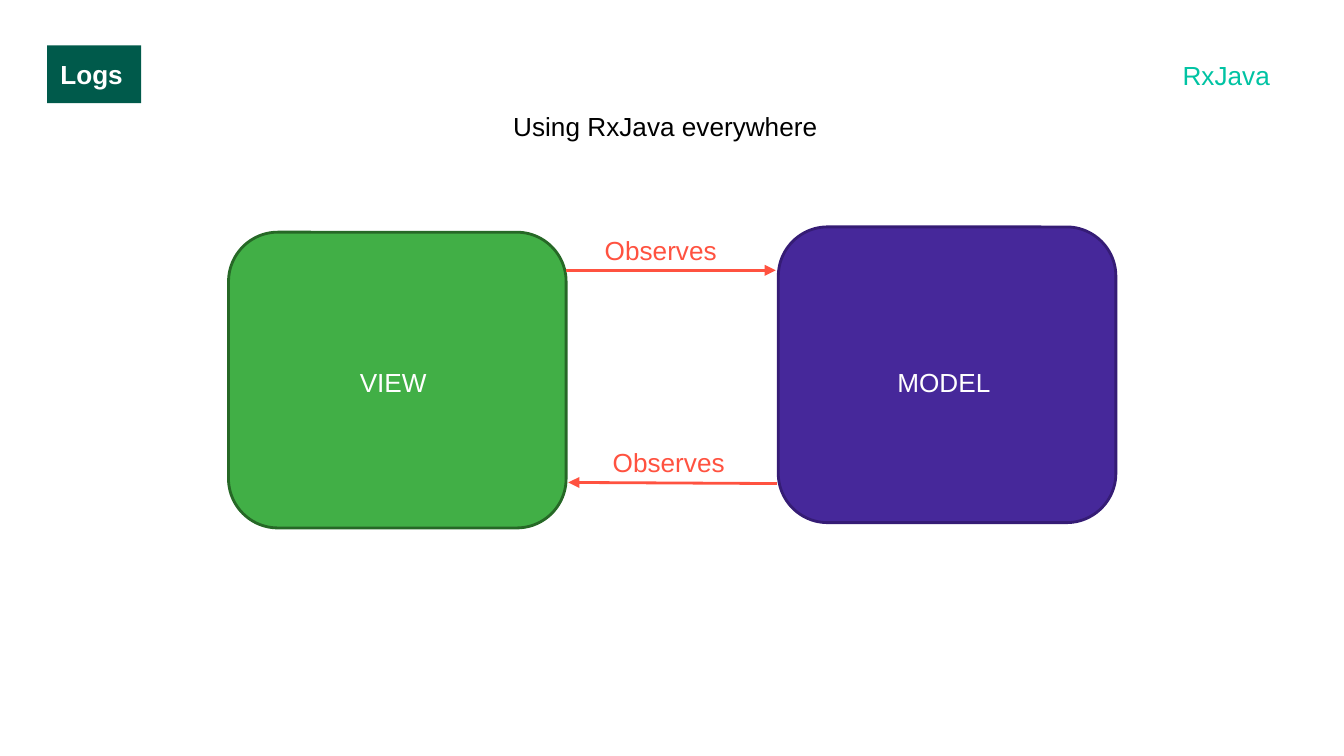
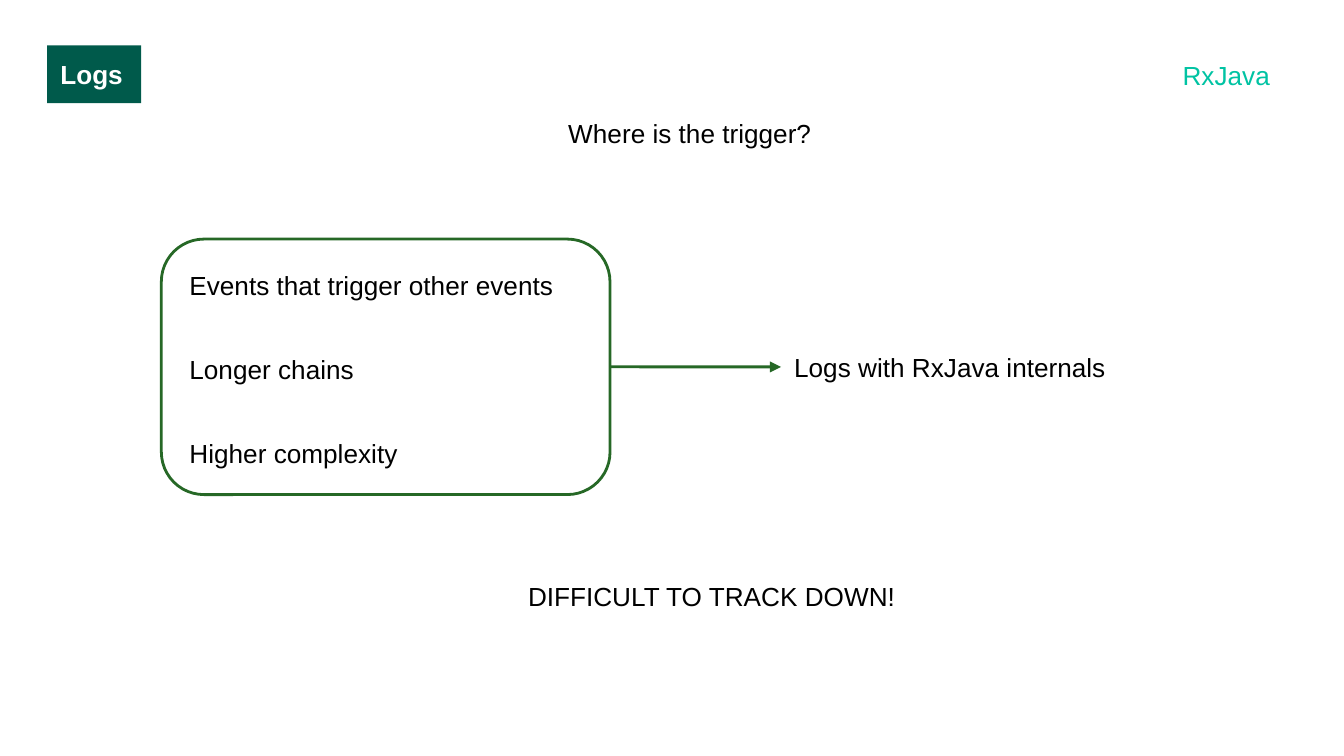
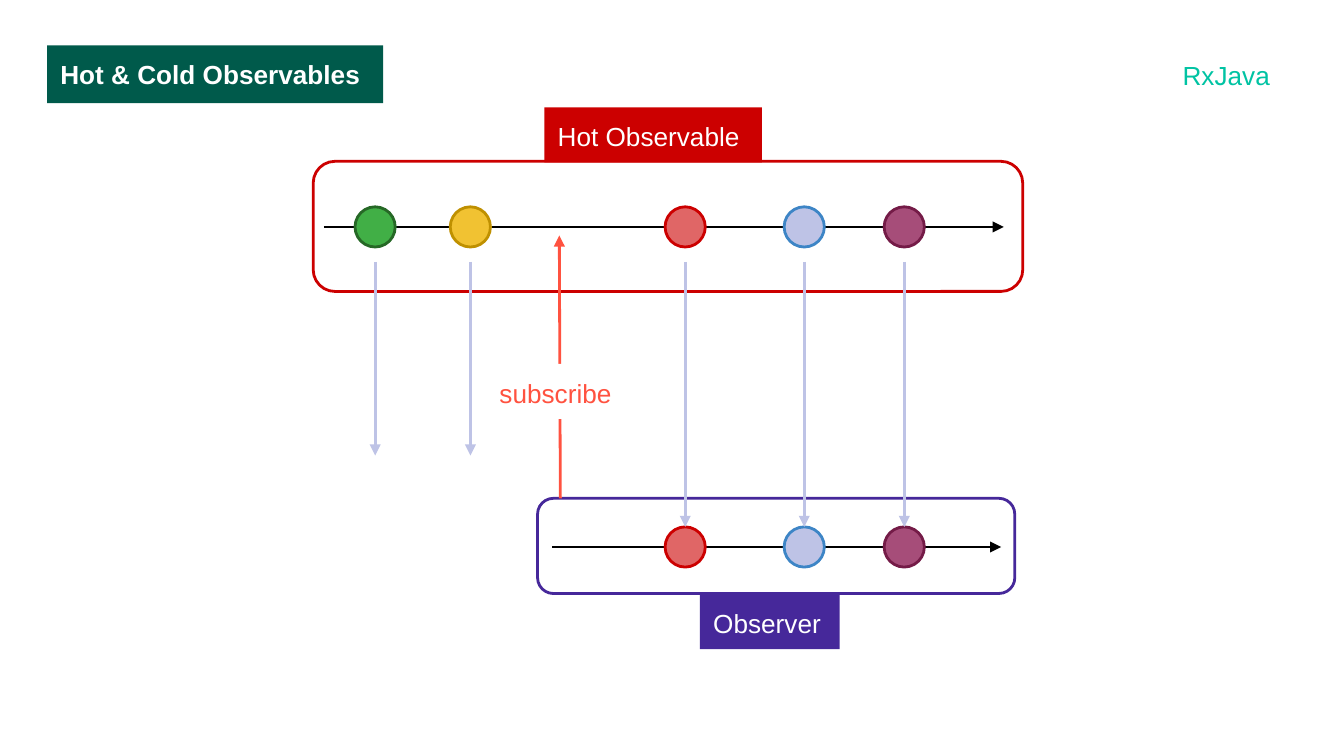
"""Build three slides about RxJava logs and hot and cold observables."""
from lxml import etree
from pptx import Presentation
from pptx import util as u
from pptx.dml.color import RGBColor
from pptx.enum import shapes, text
from pptx.oxml import ns

COLORS = {
    "white": "FFFFFF", "black": "000000", "teal": "005A4B", "mint": "00C3A3",
    "green": "41AF46", "dark_green": "266826", "purple": "46289A",
    "dark_purple": "351C75", "coral": "FF5240", "red": "CC0000",
    "rose": "E06666", "yellow": "F1C232", "gold": "BF9000",
    "lavender": "BEC3E6", "blue": "3D85C6", "plum": "A64D79",
    "dark_plum": "741B47",
}
FONT = "Arial"
TEXT_SIZE = u.Pt(14)
LINE_WIDTH = u.Pt(1.5)
INSET = 0.25
BALL = 0.76


def rgb(color):
    """Return the named colour."""
    return RGBColor.from_string(COLORS[color])


def box(left, top, width, height):
    """Return a position and size given in centimetres."""
    return [u.Cm(value) for value in (left, top, width, height)]


def write(frame, lines, color, bold=False, inset_y=INSET, wrap=True, gap=0):
    """Fill a text frame with left-aligned, unbulleted lines."""
    frame.auto_size = text.MSO_AUTO_SIZE.NONE
    frame.word_wrap = wrap
    frame.vertical_anchor = text.MSO_ANCHOR.TOP
    frame.margin_left = frame.margin_right = u.Cm(INSET)
    frame.margin_top = frame.margin_bottom = u.Cm(inset_y)
    frame.text = "\n".join(lines)
    for index, paragraph in enumerate(frame.paragraphs):
        properties = paragraph._p.get_or_add_pPr()
        properties.set("marL", "0")
        properties.set("indent", "0")
        etree.SubElement(properties, ns.qn("a:buNone"))
        paragraph.alignment = text.PP_ALIGN.LEFT
        paragraph.space_before = u.Pt(gap if index else 0)
        for run in paragraph.runs:
            run.font.name = FONT
            run.font.size = TEXT_SIZE
            run.font.bold = bold
            run.font.color.rgb = rgb(color)


def place(placeholder, area):
    """Move a placeholder to an area."""
    placeholder.left, placeholder.top, placeholder.width, placeholder.height = box(*area)


def add_label(slide, words, area, color="black", **style):
    """Add a one-line text box."""
    label = slide.shapes.add_textbox(*box(*area))
    write(label.text_frame, [words], color, **style)
    return label


def add_figure(slide, kind, area, fill=None, line=None):
    """Add a preset shape with optional fill and outline."""
    figure = slide.shapes.add_shape(kind, *box(*area))
    figure.shadow.inherit = False
    if fill:
        figure.fill.solid()
        figure.fill.fore_color.rgb = rgb(fill)
    else:
        figure.fill.background()
    if line:
        figure.line.color.rgb = rgb(line)
        figure.line.width = LINE_WIDTH
    else:
        figure.line.fill.background()
    return figure


def add_panel(slide, area, line, fill=None):
    """Add a rounded panel."""
    return add_figure(slide, shapes.MSO_SHAPE.ROUNDED_RECTANGLE, area, fill, line)


def add_tag(slide, words, area, fill, color="white"):
    """Add a filled rectangle with a caption."""
    tag = add_figure(slide, shapes.MSO_SHAPE.RECTANGLE, area, fill)
    write(tag.text_frame, [words], color)


def add_ball(slide, center_x, top, fill, line):
    """Add one emitted item of a stream."""
    area = (center_x - BALL / 2, top, BALL, BALL)
    return add_figure(slide, shapes.MSO_SHAPE.OVAL, area, fill, line)


def add_arrow(slide, start, end, color):
    """Add a straight arrow between two points."""
    arrow = slide.shapes.add_connector(
        shapes.MSO_CONNECTOR.STRAIGHT, *box(*start, *end))
    arrow.line.color.rgb = rgb(color)
    arrow.line.width = LINE_WIDTH
    properties = arrow._element.spPr
    outline = properties.find(ns.qn("a:ln"))
    etree.SubElement(outline, ns.qn("a:tailEnd"), type="triangle")
    etree.SubElement(properties, ns.qn("a:effectLst"))
    return arrow


def add_slide(deck, title, title_width, layout="Title Only"):
    """Add a slide with its title band and topic label."""
    slide = deck.slides.add_slide(deck.slide_layouts.get_by_name(layout))
    band = slide.shapes.title
    place(band, (0.89, 0.86, title_width, 1.09))
    band.fill.solid()
    band.fill.fore_color.rgb = rgb("teal")
    write(band.text_frame, [title], "white", bold=True)
    add_label(slide, "RxJava", (22.1, 0.99, 2.18, 0.86), "mint",
              inset_y=0.13, wrap=False)
    return slide


def build_everywhere(deck):
    """Show the view and the model observing each other."""
    slide = add_slide(deck, "Logs", 1.78)
    add_label(slide, "Using RxJava everywhere", (9.45, 1.83, 6.45, 1.04))
    add_panel(slide, (4.32, 4.39, 6.38, 5.59), "dark_green", "green")
    add_label(slide, "VIEW", (6.55, 6.68, 1.91, 1.04), "white")
    add_panel(slide, (14.71, 4.29, 6.38, 5.59), "dark_purple", "purple")
    add_label(slide, "MODEL", (16.71, 6.68, 2.34, 1.04), "white")
    add_arrow(slide, (10.69, 5.11), (14.66, 5.11), "coral")
    add_arrow(slide, (14.68, 9.14), (10.74, 9.12), "coral")
    for left, top in ((11.18, 4.19), (11.33, 8.18)):
        add_label(slide, "Observes", (left, top, 2.72, 0.91), "coral")


def build_trigger(deck):
    """Show why the trigger is hard to find."""
    slide = add_slide(deck, "Logs", 1.78, "Title and Content")
    add_label(slide, "Where is the trigger?", (10.49, 1.96, 5.33, 0.97))
    causes_panel = add_panel(slide, (3.05, 4.52, 8.48, 4.83), "dark_green")
    causes = slide.placeholders[1]
    place(causes, (3.33, 4.85, 7.92, 4.17))
    write(causes.text_frame, ["Events that trigger other events",
                              "Longer chains", "Higher complexity"],
          "black", gap=28)
    internals = add_label(slide, "Logs with RxJava internals",
                          (14.76, 6.39, 6.53, 1.09))
    add_label(slide, "DIFFICULT TO TRACK DOWN!", (9.73, 10.72, 7.82, 1.02))
    effect = add_arrow(slide, (11.53, 6.93), (14.76, 6.93), "dark_green")
    effect.begin_connect(causes_panel, 3)
    effect.end_connect(internals, 1)


def build_hot_observable(deck):
    """Show which items reach a late observer of a hot observable."""
    slide = add_slide(deck, "Hot & Cold Observables", 6.35)
    add_panel(slide, (10.16, 9.42, 9.02, 1.8), "purple")
    add_panel(slide, (5.92, 3.05, 13.41, 2.46), "red")
    add_arrow(slide, (6.12, 4.29), (18.97, 4.29), "black")
    add_arrow(slide, (10.44, 10.34), (18.92, 10.34), "black")
    add_arrow(slide, (10.59, 9.42), (10.57, 4.45), "coral")
    add_tag(slide, "Hot Observable", (10.29, 2.03, 4.11, 1.04), "red")
    add_tag(slide, "subscribe", (9.19, 6.88, 2.77, 1.04), "white", "coral")
    add_tag(slide, "Observer", (13.23, 11.23, 2.64, 1.04), "purple")

    emissions = (
        (7.09, "green", "dark_green", False),
        (8.89, "yellow", "gold", False),
        (12.95, "rose", "red", True),
        (15.2, "lavender", "blue", True),
        (17.09, "plum", "dark_plum", True),
    )
    for center_x, fill, line, received in emissions:
        add_ball(slide, center_x, 3.91, fill, line)
        if received:
            add_ball(slide, center_x, 9.96, fill, line)
        drop_end = 9.96 if received else 8.61
        add_arrow(slide, (center_x, 4.95), (center_x, drop_end), "lavender")


def main():
    """Build and save the deck."""
    deck = Presentation()
    deck.slide_width, deck.slide_height = u.Cm(25.4), u.Cm(14.29)
    build_everywhere(deck)
    build_trigger(deck)
    build_hot_observable(deck)
    deck.save("out.pptx")


if __name__ == "__main__":
    main()
